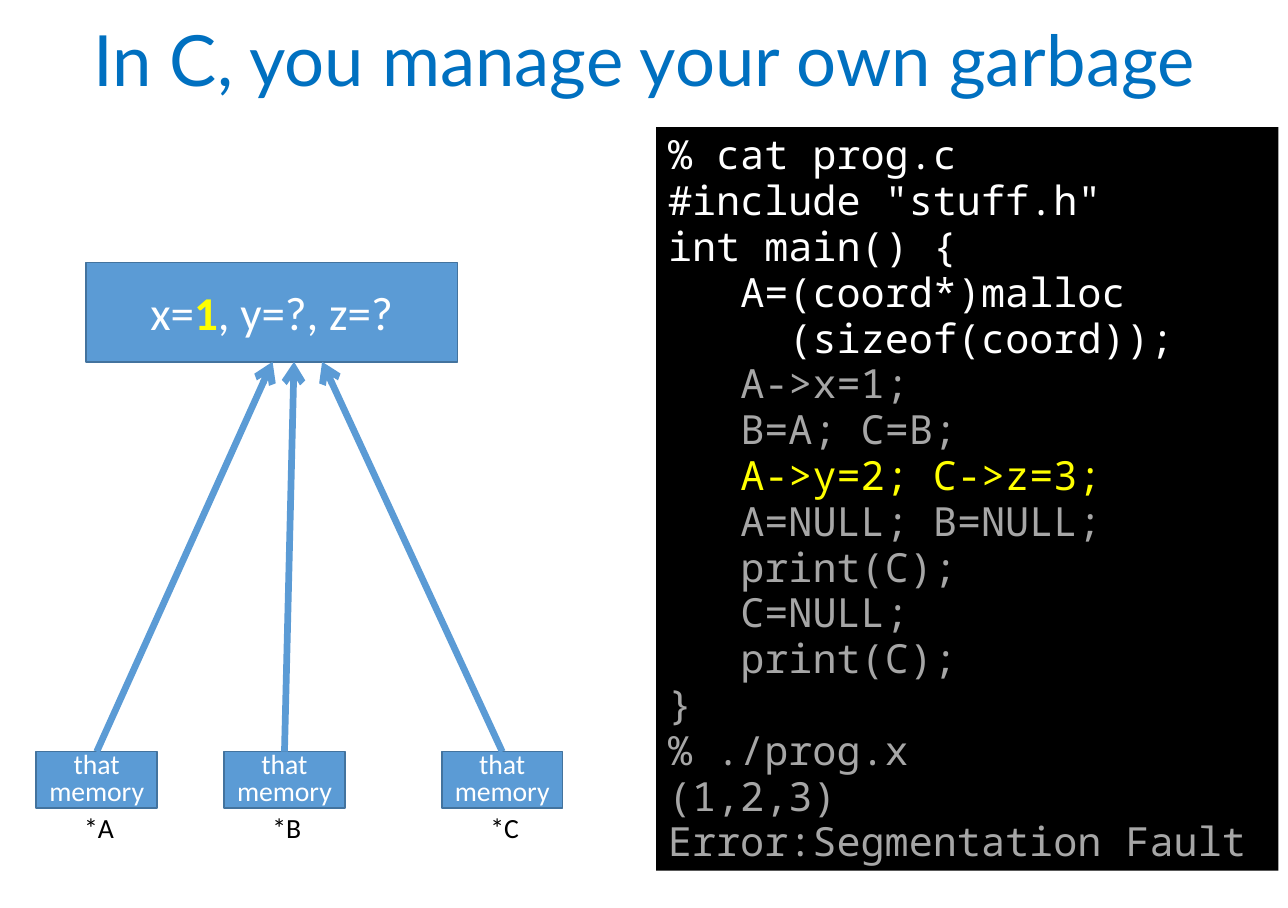
from lxml.etree import SubElement
from pptx import Presentation
from pptx.dml.color import RGBColor
from pptx.enum.shapes import MSO_CONNECTOR as Connector, MSO_SHAPE as Shape
from pptx.enum.text import MSO_ANCHOR as Anchor, PP_ALIGN as Align
from pptx.oxml.ns import qn
from pptx.util import Cm, Pt

WHITE, YELLOW, GREY, BLACK = "FFFFFF", "FFFF00", "A6A6A6", "000000"
BLUE, DARK_BLUE, TITLE_BLUE = "5B9BD5", "43739E", "0070C0"
CHAR_WIDTH = 0.506
CODE = [
    ("% cat prog.c", 0, WHITE),
    ('#include "stuff.h"', 0, WHITE),
    ("int main() {", 0, WHITE),
    ("A=(coord*)malloc", 3, WHITE),
    ("(sizeof(coord));", 5, WHITE),
    ("A->x=1;", 3, GREY),
    ("B=A; C=B;", 3, GREY),
    ("A->y=2; C->z=3;", 3, YELLOW),
    ("A=NULL; B=NULL;", 3, GREY),
    ("print(C);", 3, GREY),
    ("C=NULL;", 3, GREY),
    ("print(C);", 3, GREY),
    ("}", 0, GREY),
    ("% ./prog.x", 0, GREY),
    ("(1,2,3)", 0, GREY),
    ("Error:Segmentation Fault", 0, GREY),
]
POINTERS = [("*A", 0.76, 5.72), ("*B", 4.7, 6.17), ("*C", 9.27, 6.76)]


def rgb(value):
    """Turn a hex string into a colour."""
    return RGBColor.from_string(value)


def style(part, name, size, color):
    """Set the font of a paragraph or run."""
    part.font.name = name
    part.font.size = Pt(size)
    part.font.color.rgb = rgb(color)


def add_block(slide, left, top, width, height, fill, line=None):
    """Add a flat rectangle."""
    block = slide.shapes.add_shape(
        Shape.RECTANGLE, Cm(left), Cm(top), Cm(width), Cm(height))
    block.shadow.inherit = False
    block.fill.solid()
    block.fill.fore_color.rgb = rgb(fill)
    if line:
        block.line.color.rgb = rgb(line)
        block.line.width = Pt(1)
    else:
        block.line.fill.background()
    return block


def add_title(slide, left, top, width, height):
    """Fill and place the title."""
    title = slide.shapes.title
    title.left, title.top = Cm(left), Cm(top)
    title.width, title.height = Cm(width), Cm(height)
    title.text_frame.vertical_anchor = Anchor.MIDDLE
    heading = title.text_frame.paragraphs[0]
    heading.text = "In C, you manage your own garbage"
    heading.alignment = Align.CENTER
    heading.line_spacing = 0.9
    style(heading, "Lato", 42, TITLE_BLUE)


def add_terminal(slide, left, top, width, height):
    """Show the program and its output, indented by whole characters."""
    terminal = add_block(slide, left, top, width, height, BLACK)
    listing = terminal.text_frame
    listing.word_wrap = True
    listing.vertical_anchor = Anchor.TOP
    for number, (code, indent, color) in enumerate(CODE):
        row = listing.add_paragraph() if number else listing.paragraphs[0]
        row.text = code
        row.alignment = Align.LEFT
        row.line_spacing = 0.95
        row._p.get_or_add_pPr().set("marL", str(Cm(indent * CHAR_WIDTH)))
        style(row, "Noto Sans Mono", 23.9, color)


def add_struct(slide, left, top, width, height):
    """Show the allocated coordinates with the set value marked."""
    struct = add_block(slide, left, top, width, height, BLUE, DARK_BLUE)
    struct.text_frame.vertical_anchor = Anchor.MIDDLE
    fields = struct.text_frame.paragraphs[0]
    fields.alignment = Align.CENTER
    for text, color in (("x=", WHITE), ("1", YELLOW), (", y=?, z=?", WHITE)):
        field = fields.add_run()
        field.text = text
        field.font.bold = color == YELLOW
        style(field, "Calibri", 28, color)


def add_pointer(slide, left, top, width, height, name, target):
    """Add a named pointer and its arrow to the target point."""
    pointer = add_block(slide, left, top, width, height, BLUE, DARK_BLUE)
    label = slide.shapes.add_textbox(
        Cm(left + 0.05), Cm(top + 0.99), Cm(width), Cm(height))
    for box, text, color, spacing in ((pointer, "that\vmemory", WHITE, 0.8),
                                      (label, name, BLACK, 1.0)):
        frame = box.text_frame
        frame.word_wrap = True
        frame.vertical_anchor = Anchor.MIDDLE
        caption = frame.paragraphs[0]
        caption.text = text
        caption.alignment = Align.CENTER
        caption.line_spacing = spacing
        style(caption, "Calibri", 16.5, color)

    target_x, target_y = target
    arrow = slide.shapes.add_connector(
        Connector.STRAIGHT, Cm(left + width / 2), Cm(top),
        Cm(target_x), Cm(target_y))
    arrow.begin_connect(pointer, 0)
    arrow.line.color.rgb = rgb(BLUE)
    arrow.line.width = Pt(4)
    SubElement(arrow.line._get_or_add_ln(), qn("a:tailEnd"), type="arrow")
    SubElement(arrow._element.spPr, qn("a:effectLst"))


def add_memory(slide, left, top, width, height):
    """Draw the struct and the pointers that lead to it."""
    add_struct(slide, left, top, width, height)
    bottom = top + height
    for name, pointer_left, target_x in POINTERS:
        add_pointer(slide, pointer_left, bottom + 8.18, 2.54, 1.19,
                    name, (target_x, bottom))


def main():
    """Build the slide."""
    deck = Presentation()
    deck.slide_width, deck.slide_height = Cm(27.03), Cm(19.05)
    slide = deck.slides.add_slide(deck.slide_layouts[5])
    add_title(slide, 0, 0, 27.03, 2.67)
    add_terminal(slide, 13.77, 2.67, 13.06, 15.6)
    add_memory(slide, 1.8, 5.51, 7.8, 2.08)
    deck.save("out.pptx")


if __name__ == "__main__":
    main()
